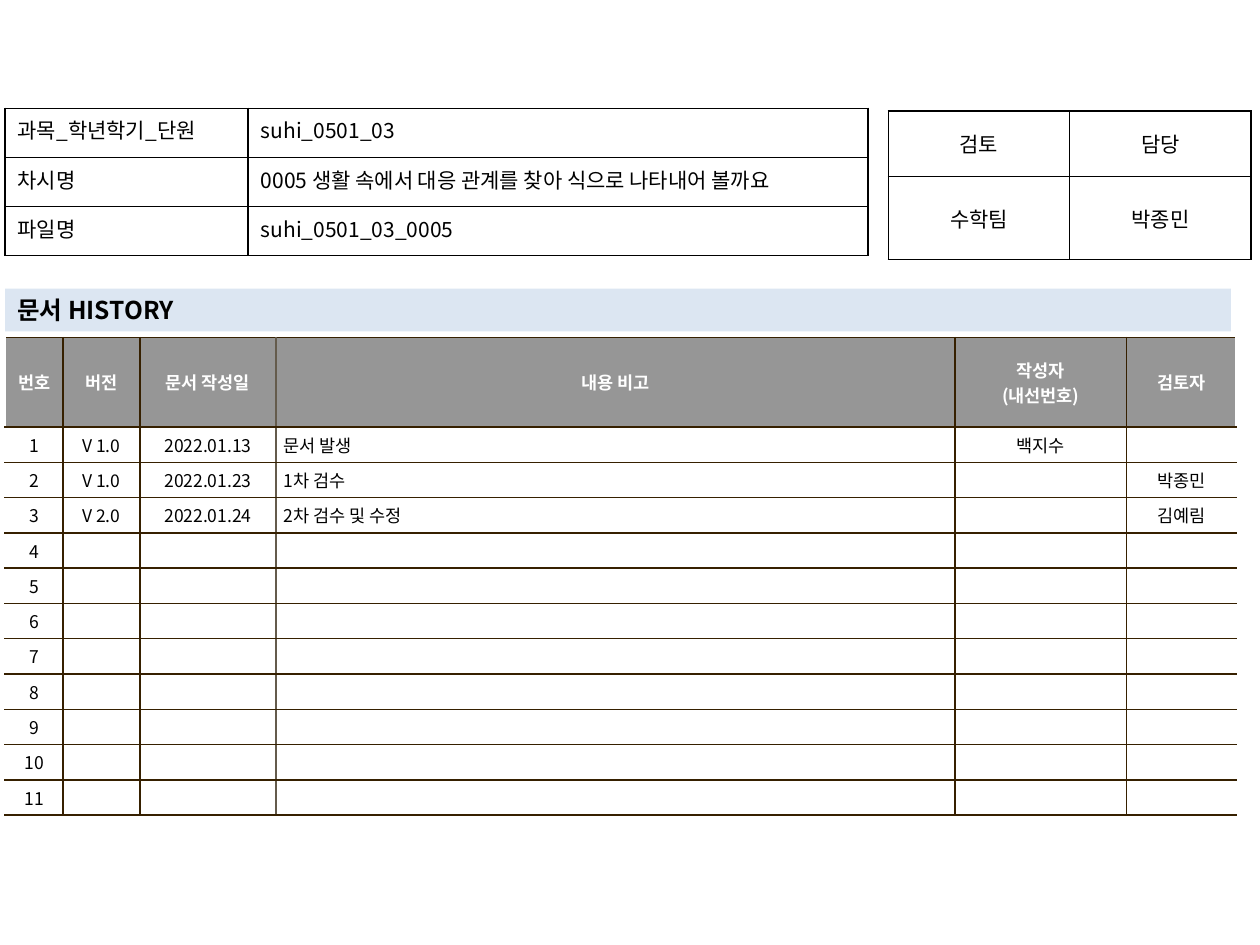
from lxml import etree
from pptx import Presentation
from pptx.dml.color import RGBColor
from pptx.enum.shapes import MSO_SHAPE
from pptx.enum.text import MSO_ANCHOR, PP_ALIGN
from pptx.oxml.ns import qn
from pptx.util import Inches, Pt

RECTANGLE = MSO_SHAPE.RECTANGLE
TOP, MIDDLE = MSO_ANCHOR.TOP, MSO_ANCHOR.MIDDLE
LEFT, CENTER, JUSTIFY = PP_ALIGN.LEFT, PP_ALIGN.CENTER, PP_ALIGN.JUSTIFY

FONT = "Noto Sans CJK KR"
BLACK, WHITE, GRAY = "000000", "FFFFFF", "969696"
BROWN, TAUPE, PALE_BLUE = "362000", "645B4C", "DCE6F2"
MARGIN = 0.04

LESSON = [
    ["과목_학년학기_단원", "suhi_0501_03"],
    ["차시명", "0005 생활 속에서 대응 관계를 찾아 식으로 나타내어 볼까요"],
    ["파일명", "suhi_0501_03_0005"],
]
REVIEWERS = [["검토", "담당"], ["수학팀", "박종민"]]
HISTORY_HEADER = ["번호", "버전", "문서 작성일", "내용 비고", "작성자\n(내선번호)", "검토자"]
HISTORY_ENTRIES = [
    ["V 1.0", "2022.01.13", "문서 발생", "백지수", ""],
    ["V 1.0", "2022.01.23", "1차 검수", "", "박종민"],
    ["V 2.0", "2022.01.24", "2차 검수 및 수정", "", "김예림"],
]
HISTORY_ROWS = 11
NOTE_COLUMN = 3


def rgb(color):
    return RGBColor.from_string(color)


def write_text(text_frame, text, size, color=BLACK, bold=False, align=LEFT):
    text_frame.text = text
    for paragraph in text_frame.paragraphs:
        paragraph.alignment = align
        font = paragraph.font
        font.size, font.bold, font.name = Pt(size), bold, FONT
        font.color.rgb = rgb(color)
        defaults = paragraph._p.pPr.find(qn("a:defRPr"))
        etree.SubElement(defaults, qn("a:ea"), typeface=FONT)
        if not paragraph.runs:
            # An empty line keeps the row low only if its end mark is small too.
            etree.SubElement(paragraph._p, qn("a:endParaRPr"), sz=str(size * 100))


def set_borders(cell, borders):
    """Draw 1 pt borders, given as a dict from side (L, R, T, B) to colour."""
    properties = cell._tc.get_or_add_tcPr()
    sides = [side for side in "LRTB" if side in borders]
    for position, side in enumerate(sides):
        line = etree.Element(qn(f"a:ln{side}"), w=str(Pt(1)))
        fill = etree.SubElement(line, qn("a:solidFill"))
        etree.SubElement(fill, qn("a:srgbClr"), val=borders[side])
        properties.insert(position, line)


def add_plain_table(slide, left, top, columns, rows):
    """Add an unbanded table with the given column widths and row heights."""
    frame = slide.shapes.add_table(
        len(rows), len(columns), Inches(left), Inches(top),
        Inches(sum(columns)), Inches(sum(rows)))
    table = frame.table
    table.first_row = table.horz_banding = False
    for column, width in zip(table.columns, columns):
        column.width = Inches(width)
    for row, height in zip(table.rows, rows):
        row.height = Inches(height)
    return table


def add_info_table(slide, left, top, columns, rows, content, alignments, anchor):
    table = add_plain_table(slide, left, top, columns, rows)
    for row, texts in zip(table.rows, content):
        for cell, text, align in zip(row.cells, texts, alignments):
            write_text(cell.text_frame, text, 12, align=align)
            cell.vertical_anchor = anchor
            cell.fill.background()
            set_borders(cell, dict.fromkeys("LRTB", BLACK))


def history_borders(column, last_column):
    """Leave the table open at both sides; the note column starts in taupe."""
    borders = dict.fromkeys("LRTB", BROWN)
    if column == 0:
        del borders["L"]
    if column == last_column:
        del borders["R"]
    if column == NOTE_COLUMN:
        borders["L"] = TAUPE
    if column == NOTE_COLUMN - 1:
        borders["R"] = TAUPE
    return borders


def add_history_table(slide):
    columns = [0.46, 0.61, 1.08, 5.39, 1.36, 0.87]
    table = add_plain_table(slide, MARGIN, 2.68, columns, [0.71] + [0.28] * HISTORY_ROWS)
    blanks = [[""] * (len(columns) - 1)] * (HISTORY_ROWS - len(HISTORY_ENTRIES))
    entries = [[str(number)] + entry
               for number, entry in enumerate(HISTORY_ENTRIES + blanks, 1)]
    for row_index, texts in enumerate([HISTORY_HEADER] + entries):
        header = row_index == 0
        for column, text in enumerate(texts):
            cell = table.cell(row_index, column)
            note = column == NOTE_COLUMN and not header
            write_text(cell.text_frame, text, 10, WHITE if header else BLACK,
                       header, LEFT if note else CENTER)
            cell.vertical_anchor = MIDDLE
            cell.margin_left = cell.margin_right = Inches(0.06)
            cell.margin_top = cell.margin_bottom = Inches(0.04)
            cell.fill.solid()
            cell.fill.fore_color.rgb = rgb(GRAY if header else WHITE)
            set_borders(cell, history_borders(column, len(columns) - 1))


def add_heading(slide, text):
    heading = slide.shapes.add_shape(
        RECTANGLE, Inches(MARGIN), Inches(2.29), Inches(9.73), Inches(0.34))
    heading.shadow.inherit = False
    heading.fill.solid()
    heading.fill.fore_color.rgb = rgb(PALE_BLUE)
    heading.line.fill.background()
    heading.text_frame.word_wrap = True
    heading.text_frame.vertical_anchor = MIDDLE
    write_text(heading.text_frame, text, 14, bold=True)


def main():
    presentation = Presentation()
    presentation.slide_width, presentation.slide_height = Inches(10), Inches(7.5)
    slide = presentation.slides.add_slide(presentation.slide_layouts[6])
    add_history_table(slide)
    add_info_table(slide, 7.05, 0.88, [1.44] * 2, [0.52, 0.66],
                   REVIEWERS, [CENTER] * 2, MIDDLE)
    add_heading(slide, "문서 HISTORY")
    add_info_table(slide, MARGIN, 0.86, [1.93, 4.92], [0.39] * 3,
                   LESSON, [JUSTIFY, LEFT], TOP)
    presentation.save("out.pptx")


if __name__ == "__main__":
    main()
